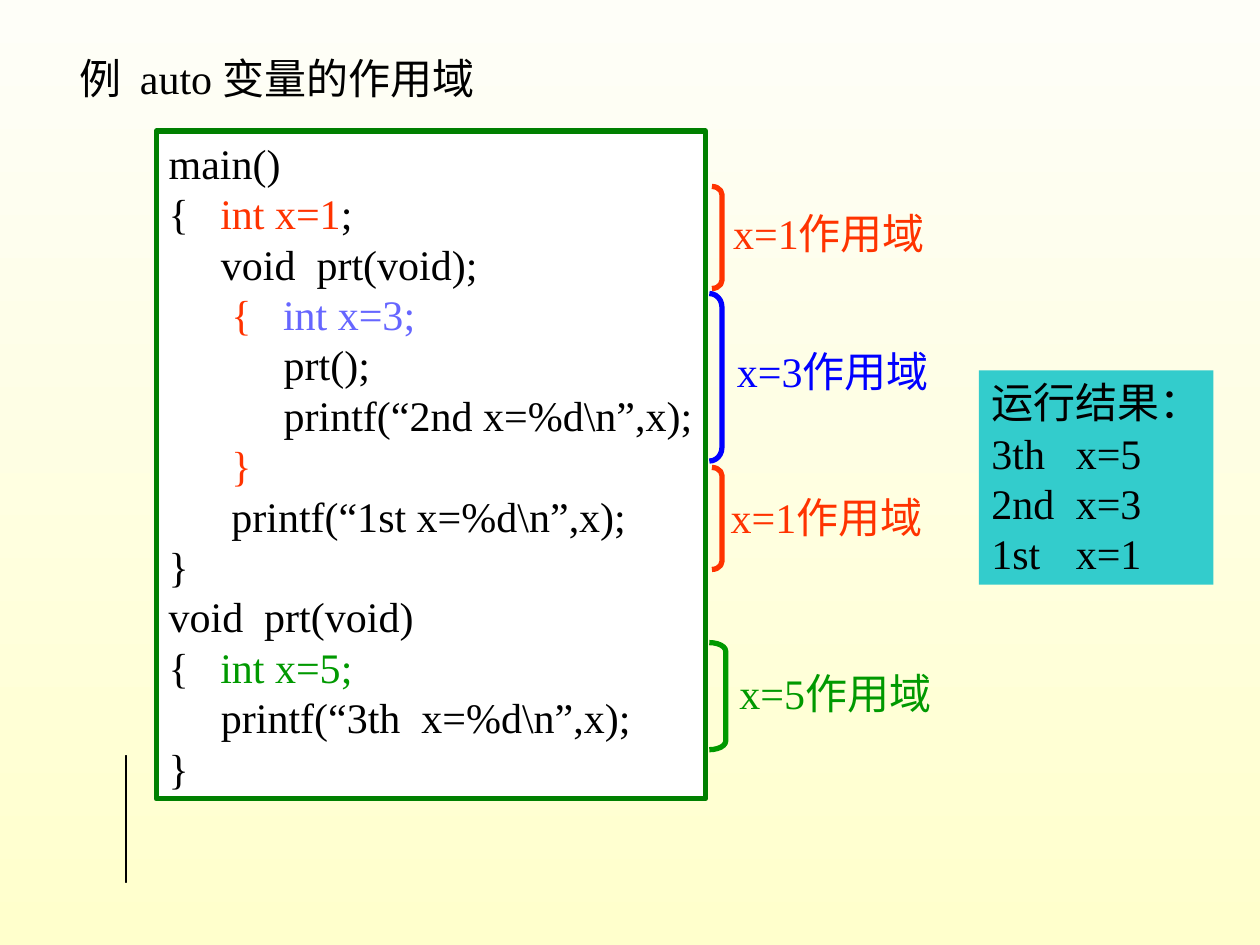
from pptx import Presentation
from pptx import util as u
from pptx.dml.color import RGBColor
from pptx.enum import shapes, text

Inches, Pt = u.Inches, u.Pt
FONT = "Times New Roman"
COLORS = {
    "black": "000000", "white": "FFFFFF", "red": "FF3300", "violet": "6666FF",
    "blue": "0000FF", "green": "009900", "frame": "008000", "teal": "33CCCC",
    "top": "FEFEF8", "bottom": "FFFFCC",
}
SPACE = 0.083
TAB = 0.41
CODE = [
    (0, [("main()", "black")]),
    (0, [("{\t", "black"), ("int x=1", "red"), (";", "black")]),
    (5, [("void  prt(void);", "black")]),
    (6, [("{\t", "red"), ("int x=3;", "violet")]),
    (11, [("prt();", "black")]),
    (11, [("printf(“2nd x=%d\\n”,x);", "black")]),
    (6, [("}", "red")]),
    (6, [("printf(“1st x=%d\\n”,x);", "black")]),
    (0, [("}", "black")]),
    (0, [("void  prt(void)", "black")]),
    (0, [("{\t", "black"), ("int x=5;", "green")]),
    (5, [("printf(“3th  x=%d\\n”,x);", "black")]),
    (0, [("}", "black")]),
]
RESULTS = ["运行结果：", "3th\tx=5", "2nd\tx=3", "1st\tx=1"]
SCOPES = [
    ("x=1作用域", "red", (5.65, 1.48, 0.08, 0.81), (5.68, 1.6)),
    ("x=3作用域", "blue", (5.63, 2.33, 0.1, 1.33), (5.71, 2.69)),
    ("x=1作用域", "red", (5.65, 3.71, 0.08, 0.81), (5.66, 3.85)),
    ("x=5作用域", "green", (5.63, 5.1, 0.13, 0.85), (5.73, 5.25)),
]


def color(name):
    """Return the named colour."""
    return RGBColor.from_string(COLORS[name])


def shade(fill):
    """Give a fill the pale vertical gradient."""
    fill.gradient()
    fill.gradient_angle = 270
    for stop, name in zip(fill.gradient_stops, ("top", "bottom")):
        stop.color.rgb = color(name)


def outline(shape, name, width):
    """Set a shape's line and remove its shadow."""
    shape.shadow.inherit = False
    shape.line.color.rgb = color(name)
    shape.line.width = Pt(width)


def write_lines(box, lines, tab=TAB, wrap=True, align=text.PP_ALIGN.LEFT):
    """Write (indent in spaces, coloured spans) lines into a box."""
    frame = box.text_frame
    frame.word_wrap = wrap
    frame.vertical_anchor = text.MSO_ANCHOR.TOP
    if wrap:
        frame.margin_right = 0
    for index, (indent, spans) in enumerate(lines):
        para = frame.add_paragraph() if index else frame.paragraphs[0]
        para.alignment = align
        para.line_spacing = Pt(28.8)
        hang = tab if any("\t" in words for words, _ in spans) else 0
        properties = para._p.get_or_add_pPr()
        properties.set("marL", str(Inches(indent * SPACE + hang)))
        properties.set("indent", str(Inches(-hang)))
        for words, name in spans:
            span = para.add_run()
            span.text = words
            span.font.name = FONT
            span.font.size = Pt(24)
            span.font.color.rgb = color(name)


def add_panel(page, area, fill):
    """Add a filled rectangle without a line."""
    panel = page.shapes.add_shape(shapes.MSO_SHAPE.RECTANGLE, *map(Inches, area))
    panel.shadow.inherit = False
    panel.fill.solid()
    panel.fill.fore_color.rgb = color(fill)
    panel.line.fill.background()
    return panel


def add_title(page, area):
    """Add the heading."""
    box = page.shapes.add_textbox(*map(Inches, area))
    write_lines(box, [(0, [("例  auto 变量的作用域", "black")])])


def add_code(page, area):
    """Add the framed program listing."""
    panel = add_panel(page, area, "white")
    outline(panel, "frame", 3)
    write_lines(panel, CODE)


def add_results(page, area):
    """Add the program output panel."""
    panel = add_panel(page, area, "teal")
    write_lines(panel, [(0, [(line, "black")]) for line in RESULTS], tab=0.67)


def add_scope(page, words, name, area, corner):
    """Add a bracket with its scope label."""
    bracket = page.shapes.add_shape(shapes.MSO_SHAPE.RIGHT_BRACKET, *map(Inches, area))
    bracket.adjustments[0] = 0.08 * area[3] / area[2]
    bracket.fill.background()
    outline(bracket, name, 3)
    label = page.shapes.add_textbox(*map(Inches, (*corner, 1.8, 0.5)))
    write_lines(label, [(0, [(words, name)])], wrap=False, align=text.PP_ALIGN.CENTER)


def add_button(page, area):
    """Add the bevelled document button."""
    left, top, width, height = area
    right, bottom = left + width, top + height
    bevel = 0.08
    outer = [(left, top), (right, top), (right, bottom), (left, bottom)]
    inner = [(left + bevel, top + bevel), (right - bevel, top + bevel),
             (right - bevel, bottom - bevel), (left + bevel, bottom - bevel)]
    x1, x2, x3 = left + 0.17, left + 0.33, left + 0.42
    y1, y2, y3 = top + 0.22, top + 0.3, top + 0.53
    contours = [outer]
    for side in range(4):
        after = (side + 1) % 4
        contours.append([outer[side], outer[after], inner[after], inner[side]])
    contours.append([(x1, y1), (x2, y1), (x3, y2), (x3, y3), (x1, y3)])
    contours.append([(x2, y1), (x3, y2), (x2, y2)])
    builder = page.shapes.build_freeform(*outer[0], scale=Inches(1))
    for index, points in enumerate(contours):
        if index:
            builder.move_to(*points[0])
        builder.add_line_segments(points[1:], close=True)
    button = builder.convert_to_shape()
    shade(button.fill)
    outline(button, "black", 0.75)


def main():
    """Build and save the deck."""
    deck = Presentation()
    deck.slide_width, deck.slide_height = Inches(10), Inches(7.5)
    page = deck.slides.add_slide(deck.slide_layouts[6])
    shade(page.background.fill)
    add_button(page, (0.75, 6.5, 0.58, 0.75))
    add_title(page, (0.53, 0.37, 3.5, 0.5))
    add_code(page, (1.24, 1.04, 4.36, 5.3))
    add_results(page, (7.77, 2.94, 1.86, 1.7))
    for scope in SCOPES:
        add_scope(page, *scope)
    deck.save("out.pptx")


if __name__ == "__main__":
    main()
